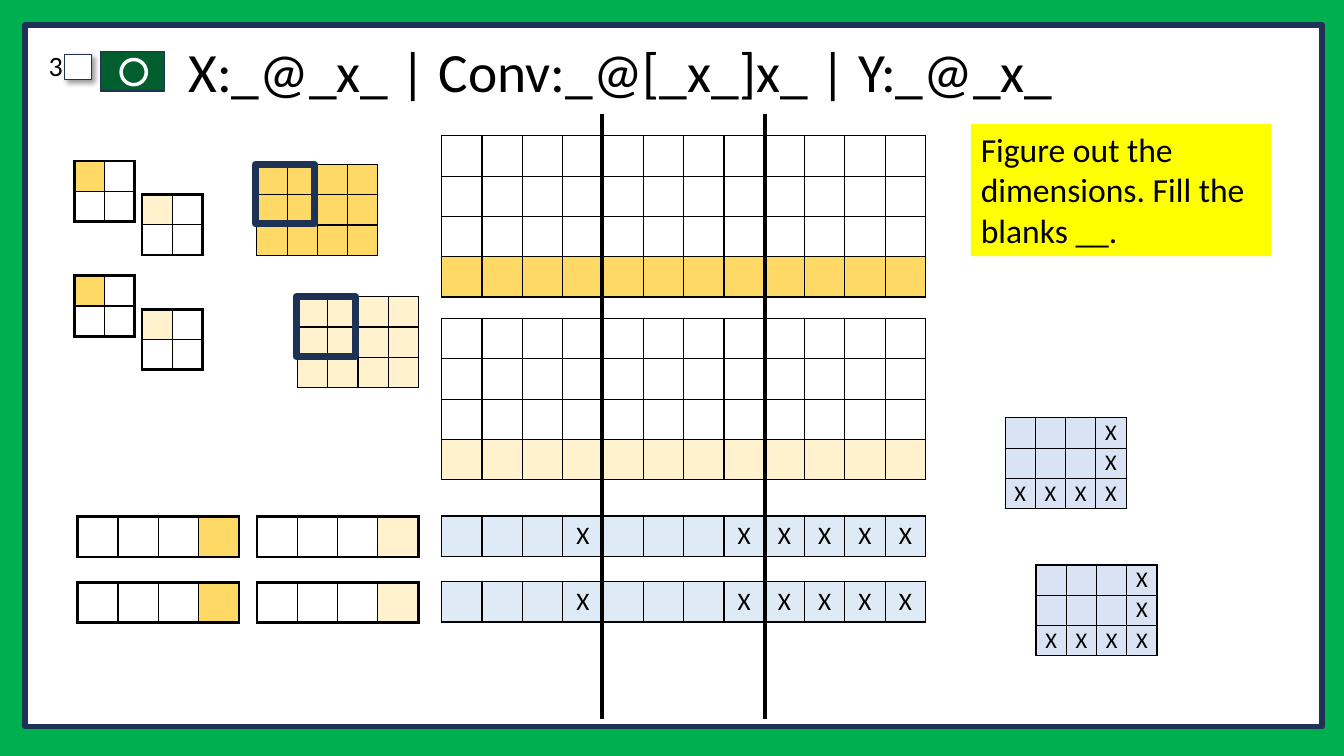
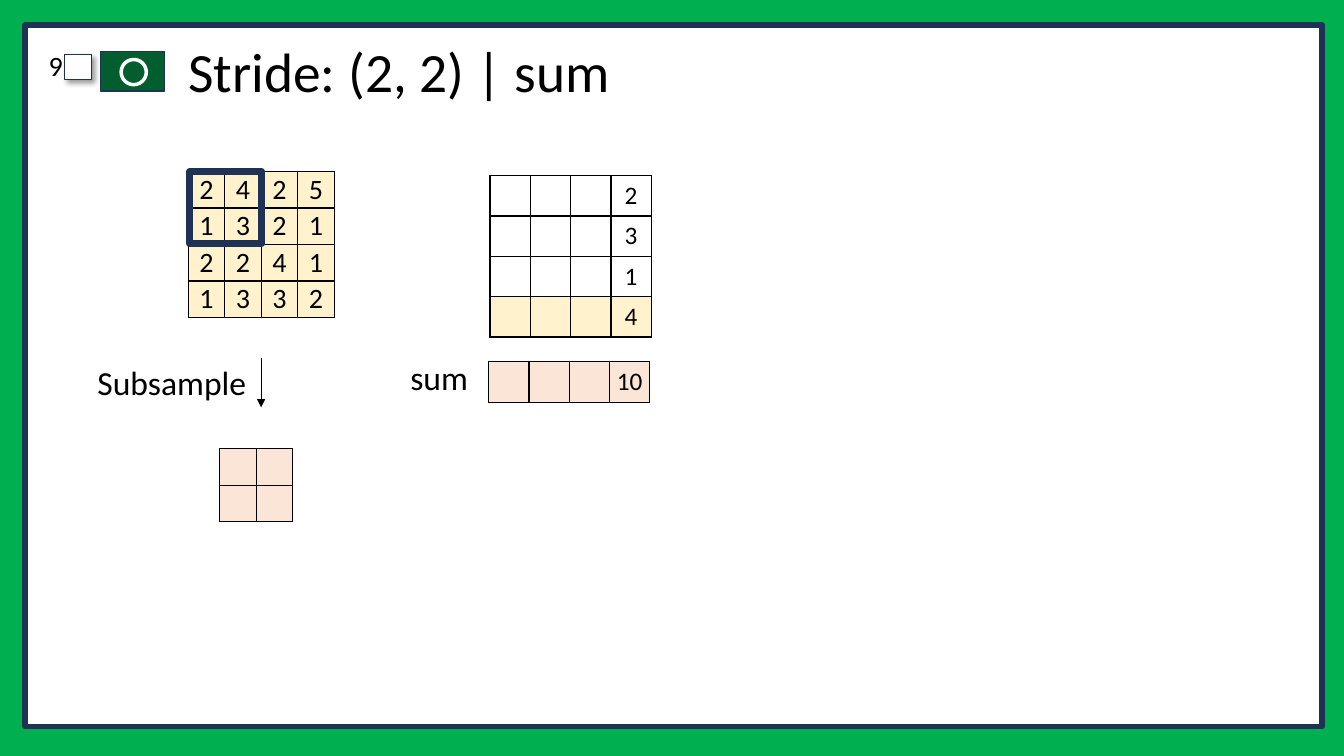
from dataclasses import dataclass

from lxml.etree import SubElement
from pptx import Presentation
from pptx.dml.color import RGBColor
from pptx.enum.shapes import MSO_CONNECTOR, MSO_SHAPE
from pptx.enum.text import MSO_ANCHOR, PP_ALIGN
from pptx.oxml.ns import qn
from pptx.shapes.autoshape import Shape
from pptx.shapes.connector import Connector
from pptx.slide import Slide
from pptx.table import _Cell
from pptx.util import Pt


@dataclass(frozen=True)
class Theme:
    font: str = "Calibri"
    title_size: float = 39.6
    label_size: float = 24
    number_size: float = 20
    value_size: float = 18
    small_value_size: float = 16
    ink: str = "000000"
    paper: str = "FFFFFF"
    backdrop: str = "00B050"
    navy: str = "1E3256"
    badge: str = "035E2F"
    note: str = "FFFF00"
    gold: str = "FFD966"
    cream: str = "FFF2CC"
    sky: str = "DEEBF7"
    periwinkle: str = "DAE3F3"
    peach: str = "FBE5D6"
    cell_line: float = 1
    bold_line: float = 2.25


THEME = Theme()


@dataclass(frozen=True)
class Box:
    left: float
    top: float
    width: float
    height: float

    def lengths(self) -> tuple[Pt, Pt, Pt, Pt]:
        return Pt(self.left), Pt(self.top), Pt(self.width), Pt(self.height)


@dataclass(frozen=True)
class Matrix:
    """Square cells: '#' in the mask is tinted, '-' in the values is empty."""
    left: float
    top: float
    side: float
    tint: str
    mask: tuple[str, ...]
    values: tuple[str, ...] = ()
    size: float = THEME.value_size
    outline: float = THEME.cell_line


def color(code: str) -> RGBColor:
    return RGBColor.from_string(code)


# Drawing helpers
def add_text(slide: Slide, box: Box, text: str, size: float,
             align: PP_ALIGN = PP_ALIGN.LEFT, anchor: MSO_ANCHOR = MSO_ANCHOR.TOP,
             spacing: float = 1.0, fill: str | None = None) -> None:
    label = slide.shapes.add_textbox(*box.lengths())
    if fill:
        label.fill.solid()
        label.fill.fore_color.rgb = color(fill)
    frame = label.text_frame
    frame.word_wrap = True
    frame.vertical_anchor = anchor
    style_text(frame.paragraphs[0], text, size, align)
    frame.paragraphs[0].line_spacing = spacing


def style_text(paragraph, text: str, size: float, align: PP_ALIGN) -> None:
    paragraph.text = text
    paragraph.alignment = align
    paragraph.font.name = THEME.font
    paragraph.font.size = Pt(size)
    paragraph.font.color.rgb = color(THEME.ink)


def add_block(slide: Slide, box: Box, fill: str | None, line: str, weight: float,
              kind: MSO_SHAPE = MSO_SHAPE.RECTANGLE) -> Shape:
    block = slide.shapes.add_shape(kind, *box.lengths())
    block.shadow.inherit = False
    if fill:
        block.fill.solid()
        block.fill.fore_color.rgb = color(fill)
    else:
        block.fill.background()
    block.line.color.rgb = color(line)
    block.line.width = Pt(weight)
    return block


def add_shadow(block: Shape) -> None:
    effects = block._element.spPr.find(qn("a:effectLst"))
    shadow = SubElement(effects, qn("a:outerShdw"), blurRad=str(Pt(4)),
                        dist=str(Pt(3)), dir="2700000", algn="tl", rotWithShape="0")
    shade = SubElement(shadow, qn("a:srgbClr"), val=THEME.ink)
    SubElement(shade, qn("a:alpha"), val="40000")


def add_rule(slide: Slide, x: float, top: float, bottom: float, weight: float) -> Connector:
    rule = slide.shapes.add_connector(
        MSO_CONNECTOR.STRAIGHT, Pt(x), Pt(top), Pt(x), Pt(bottom))
    rule.line.color.rgb = color(THEME.ink)
    rule.line.width = Pt(weight)
    SubElement(rule._element.spPr, qn("a:effectLst"))
    return rule


def add_window(slide: Slide, left: float, top: float, side: float) -> None:
    add_block(slide, Box(left, top, side, side), None, THEME.navy, 5)


def set_borders(cell: _Cell, weights: dict[str, float]) -> None:
    for edge, weight in weights.items():
        line = SubElement(cell._tc.get_or_add_tcPr(), qn(f"a:ln{edge}"), w=str(Pt(weight)))
        fill = SubElement(line, qn("a:solidFill"))
        SubElement(fill, qn("a:srgbClr"), val=THEME.ink)


def add_matrix(slide: Slide, matrix: Matrix) -> None:
    rows, cols = len(matrix.mask), len(matrix.mask[0])
    box = Box(matrix.left, matrix.top, cols * matrix.side, rows * matrix.side)
    table = slide.shapes.add_table(rows, cols, *box.lengths()).table
    table.first_row = table.horz_banding = False
    for band in table.columns:
        band.width = Pt(matrix.side)
    for band in table.rows:
        band.height = Pt(matrix.side)
    values = [row.split() for row in matrix.values] or [["-"] * cols] * rows
    for r, mask_row in enumerate(matrix.mask):
        for c, mark in enumerate(mask_row):
            cell = table.cell(r, c)
            cell.margin_left = cell.margin_right = cell.margin_top = cell.margin_bottom = 0
            cell.vertical_anchor = MSO_ANCHOR.MIDDLE
            outer = {"L": c == 0, "R": c == cols - 1, "T": r == 0, "B": r == rows - 1}
            set_borders(cell, {edge: matrix.outline if is_outer else THEME.cell_line
                               for edge, is_outer in outer.items()})
            if mark == "#":
                cell.fill.solid()
                cell.fill.fore_color.rgb = color(matrix.tint)
            else:
                cell.fill.background()
            paragraph = cell.text_frame.paragraphs[0]
            if values[r][c] != "-":
                style_text(paragraph, values[r][c], matrix.size, PP_ALIGN.CENTER)
            else:
                # A small end mark keeps empty rows at their set height
                SubElement(paragraph._p, qn("a:endParaRPr"), sz="1000")


# Frame, badge, number and title of every slide
def start_slide(deck: Presentation, number: str, title: str) -> Slide:
    slide = deck.slides.add_slide(deck.slide_layouts[6])
    add_block(slide, Box(18, 18, 926.5, 501), THEME.paper, THEME.navy, 4)
    checkbox = add_block(slide, Box(46, 39, 19.5, 18), THEME.paper, THEME.navy, 1)
    add_shadow(checkbox)
    add_block(slide, Box(72, 37, 45.5, 28), THEME.badge, THEME.navy, 1)
    add_block(slide, Box(86.5, 42.5, 18, 18), THEME.badge, THEME.paper, 2.5, MSO_SHAPE.OVAL)
    add_text(slide, Box(0, 34, 52, 32), number, THEME.number_size, PP_ALIGN.RIGHT, spacing=0.9)
    add_text(slide, Box(127.5, 29, 767, 49), title, THEME.title_size,
             anchor=MSO_ANCHOR.MIDDLE, spacing=0.9)
    return slide


def build_dimensions(deck: Presentation) -> None:
    slide = start_slide(deck, "3", "X:_@_x_ | Conv:_@[_x_]x_ | Y:_@_x_")
    small, large = 21.6, 28.8
    plane_left, strip_left = 315.5, 55.5

    # Kernels as 2 x 2 squares
    for top in (115, 197):
        for tint, dx, dy in ((THEME.gold, 0, 0), (THEME.cream, 48.5, 24)):
            add_matrix(slide, Matrix(53 + dx, top + dy, small, tint, ("#.", ".."),
                                     outline=THEME.bold_line))

    # Input channels with the sliding window
    for tint, left, top in ((THEME.gold, 183.5, 117.5), (THEME.cream, 212.5, 212)):
        add_matrix(slide, Matrix(left, top, small, tint, ("####",) * 3))
        add_window(slide, left - 1, top, 42.5)

    # Unrolled input channels
    for tint, top in ((THEME.gold, 97), (THEME.cream, 227.5)):
        add_matrix(slide, Matrix(plane_left, top, large, tint, ("." * 12,) * 3 + ("#" * 12,)))

    # Flattened kernels and the output row of each
    for top in (369, 416):
        for tint, left in ((THEME.gold, strip_left), (THEME.cream, strip_left + 128)):
            add_matrix(slide, Matrix(left, top, large, tint, ("...#",),
                                     outline=THEME.bold_line))
        add_matrix(slide, Matrix(plane_left, top - 0.5, large, THEME.sky, ("#" * 12,),
                                 ("- - - X - - - X X X X X",)))

    # Output channels
    for left, top in ((718, 298.5), (740, 403.5)):
        add_matrix(slide, Matrix(left, top, small, THEME.periwinkle, ("####",) * 3,
                                 ("- - - X", "- - - X", "X X X X"), THEME.small_value_size))

    # Row separators and the task
    for x in (430, 546.5):
        add_rule(slide, x, 81.5, 513.5, 3)
    add_text(slide, Box(693.5, 88.5, 214.5, 94.5),
             "Figure out the dimensions. Fill the blanks __.",
             THEME.label_size, fill=THEME.note)


def build_stride(deck: Presentation) -> None:
    slide = start_slide(deck, "9", "Stride: (2, 2) | sum")
    pool_side, sum_side = 26.1, 28.8

    # Subsampling from 4 x 4 to 2 x 2
    add_matrix(slide, Matrix(134.5, 122.5, pool_side, THEME.cream, ("####",) * 4,
                             ("2 4 2 5", "1 3 2 1", "2 2 4 1", "1 3 3 2"),
                             THEME.number_size))
    add_window(slide, 135.5, 122.5, 51.5)
    add_text(slide, Box(62.5, 255, 130, 36), "Subsample", THEME.label_size)
    arrow = add_rule(slide, 186.5, 255.5, 291, 0.5)
    SubElement(arrow.line._get_or_add_ln(), qn("a:tailEnd"), type="triangle")
    add_matrix(slide, Matrix(157, 320.5, pool_side, THEME.peach, ("##",) * 2))

    # Unrolled windows and their sum
    add_matrix(slide, Matrix(350, 125.5, sum_side, THEME.cream, ("....",) * 3 + ("####",),
                             ("- - - 2", "- - - 3", "- - - 1", "- - - 4")))
    add_matrix(slide, Matrix(349, 258.5, sum_side, THEME.peach, ("####",), ("- - - 10",)))
    add_text(slide, Box(286, 251.5, 62, 36), "sum", THEME.label_size)


def main() -> None:
    deck = Presentation()
    deck.slide_width, deck.slide_height = Pt(960), Pt(540)
    backdrop = deck.slide_master.background.fill
    backdrop.solid()
    backdrop.fore_color.rgb = color(THEME.backdrop)
    build_dimensions(deck)
    build_stride(deck)
    deck.save("out.pptx")


if __name__ == "__main__":
    main()
